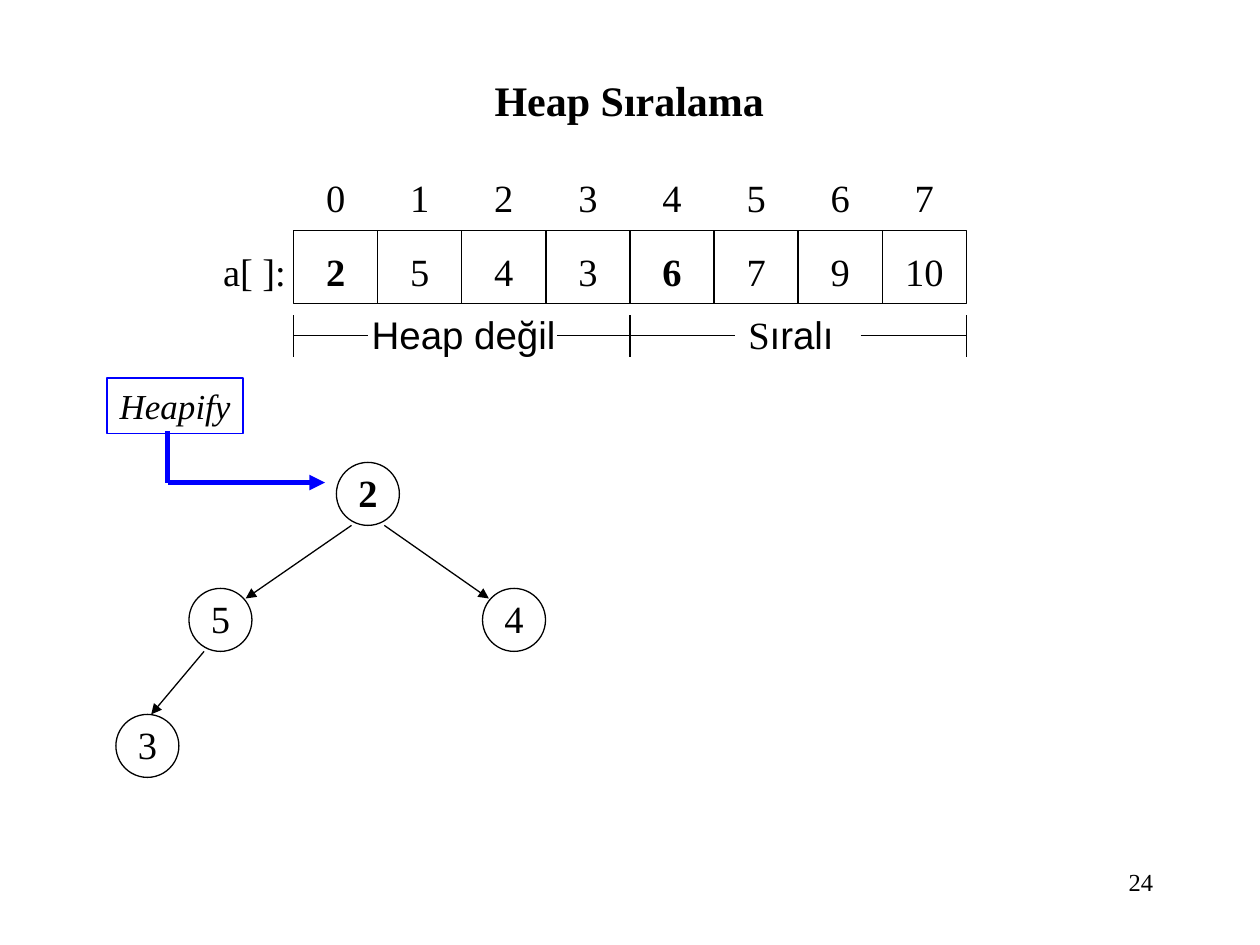
from pptx import Presentation
from pptx.dml.color import RGBColor
from pptx.enum import shapes, text
from pptx.oxml import parse_xml
from pptx.oxml.ns import nsdecls, qn
from pptx.util import Inches, Pt

SERIF = "Times New Roman"
SANS = "Arial"
BLACK = "000000"
BLUE = "0000FF"
CENTER = text.PP_ALIGN.CENTER
MIDDLE = text.MSO_ANCHOR.MIDDLE


def color(value):
    return RGBColor.from_string(value)


def write(box, spans, size=22, align=CENTER, anchor=MIDDLE, wrap=False, insets=(0.1, 0.05, 0.1, 0.05)):
    frame = box.text_frame
    frame.word_wrap = wrap
    frame.vertical_anchor = anchor
    frame.margin_left, frame.margin_top, frame.margin_right, frame.margin_bottom = map(Inches, insets)
    para = frame.paragraphs[0]
    para.alignment = align
    for words, face, bold, italic in spans:
        span = para.add_run()
        span.text = words
        span.font.name = face
        span.font.size = Pt(size)
        span.font.bold = bold
        span.font.italic = italic
        span.font.color.rgb = color(BLACK)


def plain(words, face=SERIF, bold=False, italic=False):
    return [(words, face, bold, italic)]


def add_label(page, left, top, width, height, spans, **style):
    box = page.shapes.add_textbox(*map(Inches, (left, top, width, height)))
    write(box, spans, **style)


def add_outline(page, kind, left, top, width, height, spans, line=BLACK, **style):
    shape = page.shapes.add_shape(kind, *map(Inches, (left, top, width, height)))
    shape.shadow.inherit = False
    shape.fill.background()
    shape.line.color.rgb = color(line)
    shape.line.width = Pt(0.75)
    write(shape, spans, **style)


def add_line(page, start, end, line=BLACK, width=0.75, arrow=False):
    connector = page.shapes.add_connector(
        shapes.MSO_CONNECTOR.STRAIGHT, *map(Inches, (*start, *end)))
    connector.line.color.rgb = color(line)
    connector.line.width = Pt(width)
    properties = connector._element.spPr
    if arrow:
        outline = properties.find(qn("a:ln"))
        outline.append(parse_xml(f'<a:tailEnd {nsdecls("a")} type="triangle"/>'))
    properties.append(parse_xml(f'<a:effectLst {nsdecls("a")}/>'))


def draw_array(page, left, top, width, height, values, marked):
    cell = width / len(values)
    cell_top, cell_height = top + 0.5, 0.58
    add_label(page, left - 0.66, top + 0.59, 0.7, 0.47, plain("a[ ]:"))
    for index, value in enumerate(values):
        x = left + index * cell
        add_label(page, x, top, cell, 0.47, plain(str(index)), anchor=text.MSO_ANCHOR.TOP)
        add_outline(page, shapes.MSO_SHAPE.RECTANGLE, x, cell_top, cell, cell_height,
                    plain(str(value), bold=index in marked), insets=(0, 0.06, 0, 0))
    draw_ranges(page, left, top + height - 0.33, width, 0.33)


def draw_ranges(page, left, top, width, height):
    middle, right = top + height / 2, left + width
    for x in (left, left + width / 2, right):
        add_line(page, (x, top), (x, top + height))
    for start, end in ((0, 0.59), (2.09, 3.5), (4.5, width)):
        add_line(page, (left + start, middle), (left + end, middle))
    add_label(page, left + 0.52, top - 0.08, 1.66, 0.47, plain("Heap değil", SANS))
    add_label(page, left + 3.51, top - 0.08, 0.88, 0.47,
              plain("S") + plain("ıralı", SANS), align=text.PP_ALIGN.LEFT)


def draw_heap(page, left, top, width, height):
    size = 0.5
    level_gap = (height - size) / 2
    nodes = {2: (2, 0), 5: (0.83, 1), 4: (width - size / 2, 1), 3: (size / 2, 2)}
    edges = [(5, 3, -0.13, 0.03, 0), (2, 5, -0.13, 0.2, 0.08), (2, 4, 0.13, -0.2, 0.08)]
    for value, (x, level) in nodes.items():
        add_outline(page, shapes.MSO_SHAPE.OVAL, left + x - size / 2, top + level * level_gap,
                    size, size, plain(str(value), bold=level == 0), insets=(0, 0, 0, 0.03))
    for parent, child, leave, reach, drop in edges:
        parent_x, parent_level = nodes[parent]
        child_x, child_level = nodes[child]
        add_line(page, (left + parent_x + leave, top + parent_level * level_gap + size),
                 (left + child_x + reach, top + child_level * level_gap + drop), arrow=True)


def draw_heapify(page, left, top, width, height):
    add_outline(page, shapes.MSO_SHAPE.RECTANGLE, left, top, 1.08, 0.44,
                plain("Heapify", italic=True), line=BLUE, size=20)
    corner = (left + 0.48, top + height)
    add_line(page, (corner[0], top + 0.42), corner, BLUE, 3)
    add_line(page, corner, (left + width, corner[1]), BLUE, 3, arrow=True)


def main():
    deck = Presentation()
    deck.slide_width, deck.slide_height = Inches(10), Inches(7.5)
    page = deck.slides.add_slide(deck.slide_layouts[6])
    add_label(page, 0.58, 0.5, 8.83, 0.58, plain("Heap Sıralama", bold=True), size=24, wrap=True)
    draw_array(page, 2.33, 1.33, 5.34, 1.5, [2, 5, 4, 3, 6, 7, 9, 10], marked=(0, 4))
    draw_heap(page, 0.92, 3.67, 3.41, 2.5)
    draw_heapify(page, 0.85, 3, 1.73, 0.83)
    add_label(page, 7.17, 6.83, 2.08, 0.5, plain("24"), size=14,
              align=text.PP_ALIGN.RIGHT, anchor=text.MSO_ANCHOR.TOP, wrap=True)
    deck.save("out.pptx")


if __name__ == "__main__":
    main()
